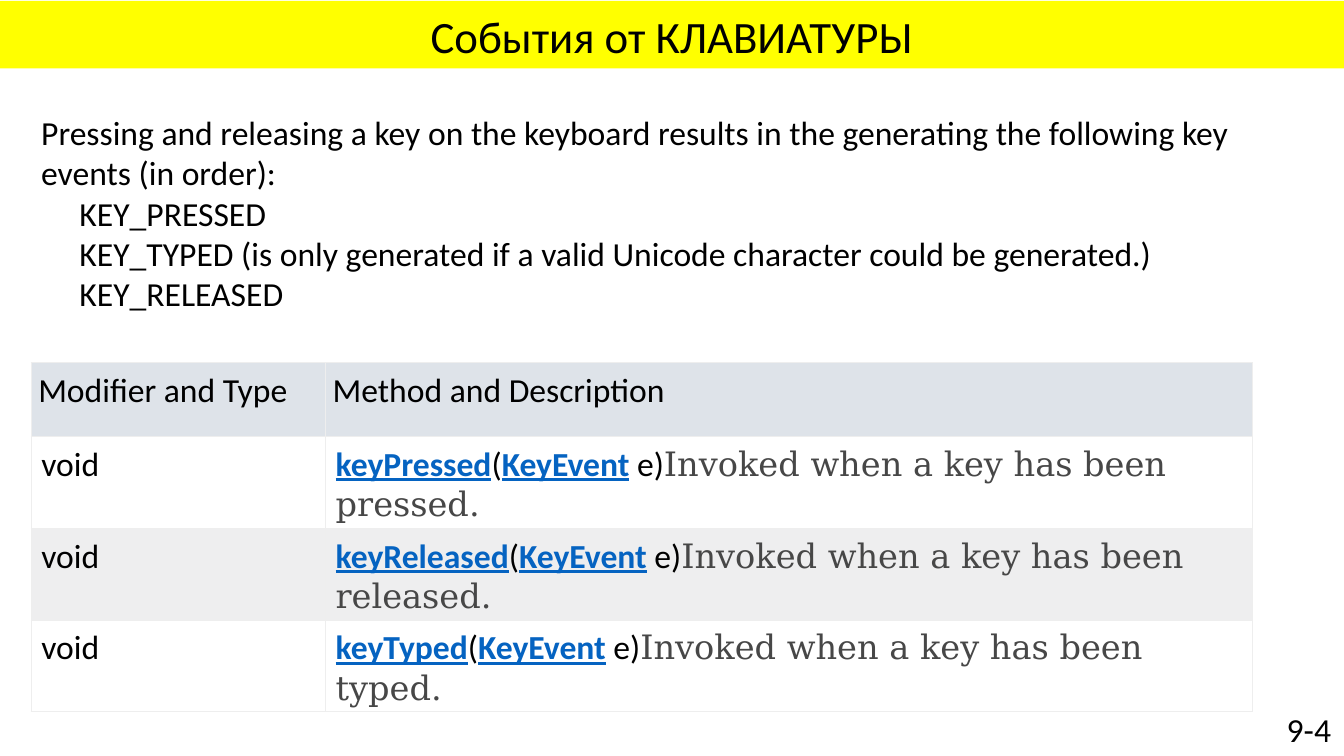
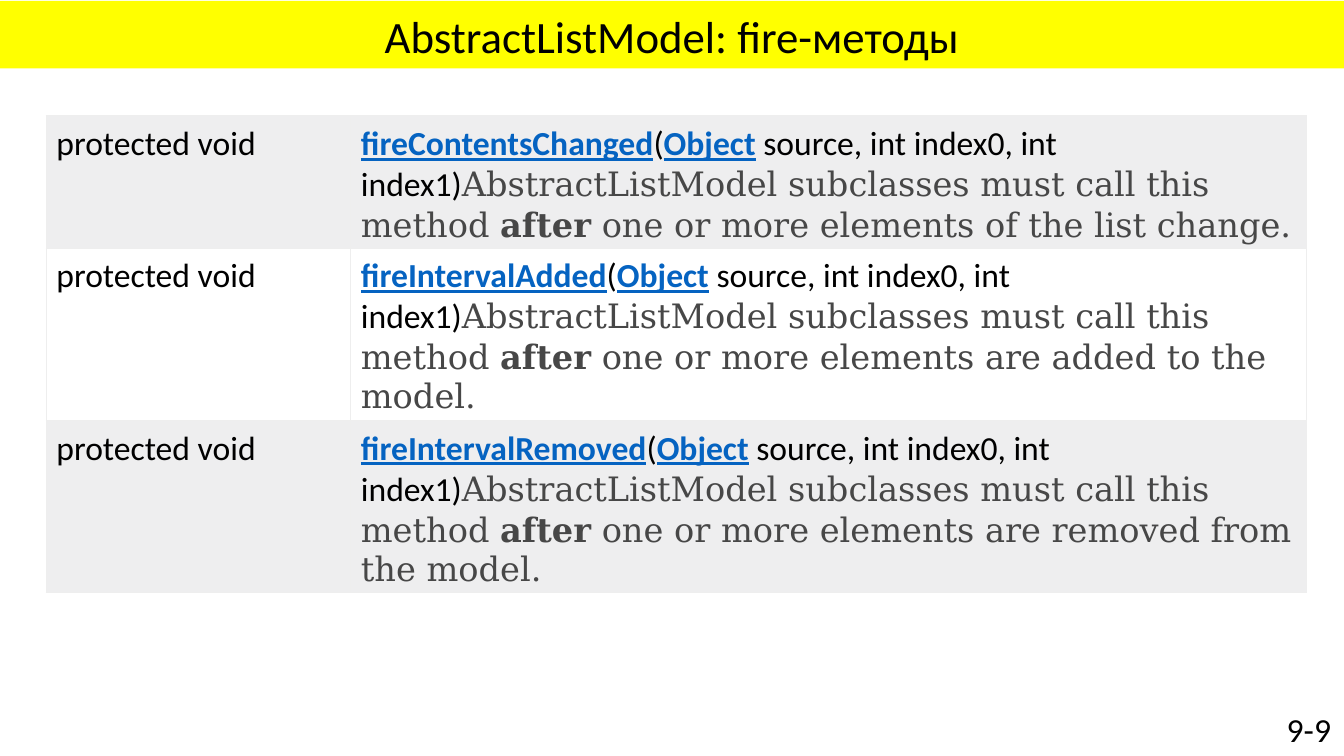
import pptx
import pptx.util
import pptx.dml.color
import pptx.enum.text
import pptx.oxml.ns
import lxml.etree

PX = 9144
WIDE, HIGH = 1333, 750
SANS, SERIF = "Calibri", "DejaVu Serif"
BLACK, WHITE, YELLOW = "000000", "FFFFFF", "FFFF00"
BLUE, SLATE = "0563C1", "474747"
HEAD, BAND, EDGE = "DEE3E9", "EEEEEF", "EEEEEE"
ALIGN = pptx.enum.text.PP_ALIGN
ANCHOR = pptx.enum.text.MSO_ANCHOR

STYLES = {
    "plain": (SANS, BLACK, False, False),
    "link": (SANS, BLUE, True, True),
    "note": (SERIF, SLATE, False, False),
    "strong": (SERIF, SLATE, True, False),
}


def px(size):
    return pptx.util.Emu(size * PX)


def color(code):
    return pptx.dml.color.RGBColor.from_string(code)


def paint(thing, code):
    thing.fill.solid()
    thing.fill.fore_color.rgb = color(code)


def style(font, kind):
    name, code, bold, under = STYLES[kind]
    font.name = name
    font.color.rgb = color(code)
    font.bold = bold
    font.underline = under


def write(para, text, size=24, align=ALIGN.LEFT):
    para.text = text
    para.alignment = align
    para.font.size = pptx.util.Pt(size)
    style(para.font, "plain")


def add_box(slide, box, lines, size=24, align=ALIGN.LEFT):
    shape = slide.shapes.add_textbox(*map(px, box))
    frame = shape.text_frame
    frame.word_wrap = True
    for i, line in enumerate(lines):
        para = frame.add_paragraph() if i else frame.paragraphs[0]
        write(para, line, size, align)
    return shape


def add_title(slide, text):
    shape = add_box(slide, (0, 1, WIDE, 67), [text], 32, ALIGN.CENTER)
    paint(shape, YELLOW)
    shape.text_frame.vertical_anchor = ANCHOR.BOTTOM
    shape.text_frame.paragraphs[0].line_spacing = 0.9


def add_number(slide, text):
    add_box(slide, (1153, 698, 177, 50), [text], align=ALIGN.RIGHT)


def add_intro(slide, box, lead, items):
    shape = add_box(slide, box, [lead] + items)
    for para in shape.text_frame.paragraphs[1:]:
        para._p.get_or_add_pPr().set("marL", str(px(38)))


def add_edges(cell):
    props = cell._tc.get_or_add_tcPr()
    qn = pptx.oxml.ns.qn
    for side in "LRTB":
        line = lxml.etree.SubElement(props, qn("a:ln" + side))
        line.set("w", str(pptx.util.Pt(0.75)))
        fill = lxml.etree.SubElement(line, qn("a:solidFill"))
        lxml.etree.SubElement(fill, qn("a:srgbClr")).set("val", EDGE)


def fill_cell(cell, content, code, left):
    add_edges(cell)
    paint(cell, code)
    cell.margin_left, cell.margin_right = px(left), px(8)
    cell.margin_top = cell.margin_bottom = px(3)
    cell.margin_right, cell.margin_top = px(3), px(8)
    para = cell.text_frame.paragraphs[0]
    if isinstance(content, str):
        write(para, content)
        return
    para.font.size = pptx.util.Pt(24)
    for text, kind in content:
        run = para.add_run()
        run.text = text
        style(run.font, kind)


def add_grid(slide, left, top, cols, highs, rows, fills):
    shape = slide.shapes.add_table(
        len(rows), len(cols), px(left), px(top), px(sum(cols)), px(sum(highs)))
    table = shape.table
    table.first_row = table.horz_banding = False
    for col, wide in zip(table.columns, cols):
        col.width = px(wide)
    for row, high, texts, code in zip(table.rows, highs, rows, fills):
        row.height = px(high)
        for cell, content in zip(row.cells, texts):
            fill_cell(cell, content, code, 7 if code == HEAD else 10)


def method(name, kind, args):
    return [(name, "link"), ("(", "plain"), (kind, "link"), (args, "plain")]


def key_row(name, event):
    note = f"Invoked when a key has been {event}."
    return "void", method(name, "KeyEvent", " e)") + [(note, "note")]


def fire_row(name, event):
    return "protected void", method(
        name, "Object", " source, int index0, int index1)") + [
        ("AbstractListModel subclasses must call this method ", "note"),
        ("after", "strong"),
        (f" one or more elements {event}.", "note")]


def add_slide(deck, title, number):
    slide = deck.slides.add_slide(deck.slide_layouts[6])
    add_title(slide, title)
    add_number(slide, number)
    return slide


def add_keys(deck):
    slide = add_slide(deck, "События от КЛАВИАТУРЫ", "9-4")
    add_intro(
        slide, (31, 106, 1271, 252),
        "Pressing and releasing a key on the keyboard results in the "
        "generating the following key events (in order):",
        ["KEY_PRESSED",
         "KEY_TYPED (is only generated if a valid Unicode character "
         "could be generated.)",
         "KEY_RELEASED"])
    rows = [("Modifier and Type", "Method and Description"),
            key_row("keyPressed", "pressed"),
            key_row("keyReleased", "released"),
            key_row("keyTyped", "typed")]
    add_grid(slide, 31, 360, (292, 919), [73] * 4, rows,
             (HEAD, WHITE, BAND, WHITE))


def add_fires(deck):
    slide = add_slide(deck, "AbstractListModel: fire-методы", "9-9")
    rows = [fire_row("fireContentsChanged", "of the list change"),
            fire_row("fireIntervalAdded", "are added to the model"),
            fire_row("fireIntervalRemoved", "are removed from the model")]
    add_grid(slide, 46, 115, (302, 948), (124, 87, 124), rows,
             (BAND, WHITE, BAND))


def main():
    deck = pptx.Presentation()
    deck.slide_width, deck.slide_height = px(WIDE), px(HIGH)
    add_keys(deck)
    add_fires(deck)
    deck.save("out.pptx")


if __name__ == "__main__":
    main()
